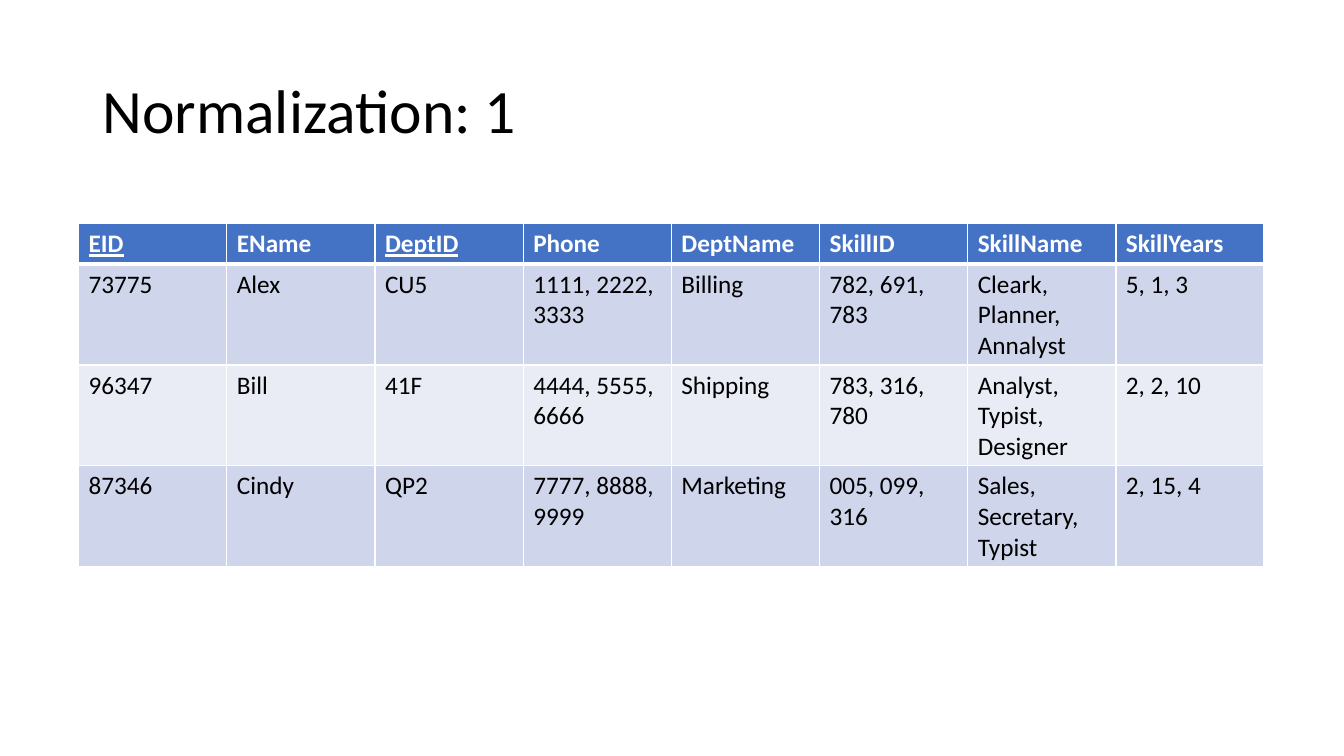
from dataclasses import dataclass

from lxml.etree import SubElement
from pptx import Presentation
from pptx.dml.color import RGBColor as Rgb
from pptx.enum.text import MSO_ANCHOR as Anchor
from pptx.oxml.ns import qn
from pptx.util import Inches, Pt


@dataclass(frozen=True)
class Theme:
    font: str = "Calibri"
    title_size: int = 44
    cell_size: int = 18
    text: str = "000000"
    header_text: str = "FFFFFF"
    header_fill: str = "4472C4"
    band_fills: tuple = ("CFD5EA", "E9EBF5")
    border: str = "FFFFFF"
    thin: float = 1
    thick: float = 3


HEADERS = ["EID", "EName", "DeptID", "Phone", "DeptName", "SkillID", "SkillName", "SkillYears"]
KEYS = {"EID", "DeptID"}
EMPLOYEES = [
    ["73775", "Alex", "CU5", "1111, 2222, 3333", "Billing", "782, 691, 783",
     "Cleark, Planner, Annalyst", "5, 1, 3"],
    ["96347", "Bill", "41F", "4444, 5555, 6666", "Shipping", "783, 316, 780",
     "Analyst, Typist, Designer", "2, 2, 10"],
    ["87346", "Cindy", "QP2", "7777, 8888, 9999", "Marketing", "005, 099, 316",
     "Sales, Secretary, Typist", "2, 15, 4"],
]


class SlideBuilder:
    def __init__(self, slide, theme):
        self.slide = slide
        self.theme = theme

    def styled_text(self, frame, text, size, color, bold=False, underline=False):
        para = frame.paragraphs[0]
        para.text = text
        font = para.runs[0].font
        font.name, font.size = self.theme.font, Pt(size)
        font.bold, font.underline = bold, underline
        font.color.rgb = Rgb.from_string(color)
        return para

    def title(self, text, left, top, width, height):
        box = self.slide.shapes.add_textbox(*map(Inches, (left, top, width, height)))
        frame = box.text_frame
        frame.word_wrap = True
        frame.vertical_anchor = Anchor.MIDDLE
        para = self.styled_text(frame, text, self.theme.title_size, self.theme.text)
        para.line_spacing = 0.9

    def borders(self, cell, top, bottom):
        """Draw all four cell edges; top and bottom are widths in points."""
        thin = self.theme.thin
        properties = cell._tc.get_or_add_tcPr()
        for side, width in (("L", thin), ("R", thin), ("T", top), ("B", bottom)):
            line = SubElement(properties, qn(f"a:ln{side}"), w=str(Pt(width)))
            fill = SubElement(line, qn("a:solidFill"))
            SubElement(fill, qn("a:srgbClr"), val=self.theme.border)

    def table(self, headers, records, left, top, column_width, header_height, row_height):
        theme = self.theme
        rows = [headers, *records]
        heights = [header_height] + [row_height] * len(records)
        table = self.slide.shapes.add_table(
            len(rows), len(headers), Inches(left), Inches(top),
            Inches(column_width * len(headers)), Inches(sum(heights))).table
        for column in table.columns:
            column.width = Inches(column_width)
        for r, (values, height) in enumerate(zip(rows, heights)):
            table.rows[r].height = Inches(height)
            header = r == 0
            fill = theme.header_fill if header else theme.band_fills[(r - 1) % 2]
            color = theme.header_text if header else theme.text
            for c, value in enumerate(values):
                cell = table.cell(r, c)
                self.borders(cell, top=theme.thick if r == 1 else theme.thin,
                             bottom=theme.thick if header else theme.thin)
                cell.fill.solid()
                cell.fill.fore_color.rgb = Rgb.from_string(fill)
                self.styled_text(cell.text_frame, value, theme.cell_size, color,
                                 bold=header, underline=header and value in KEYS)


def main():
    deck = Presentation()
    deck.slide_width, deck.slide_height = Inches(13.33), Inches(7.5)
    page = SlideBuilder(deck.slides.add_slide(deck.slide_layouts[6]), Theme())
    page.title("Normalization: 1", 0.92, 0.4, 11.5, 1.45)
    page.table(HEADERS, EMPLOYEES, left=0.78, top=2.22, column_width=1.47,
               header_height=0.4, row_height=1)
    deck.save("out.pptx")


if __name__ == "__main__":
    main()
